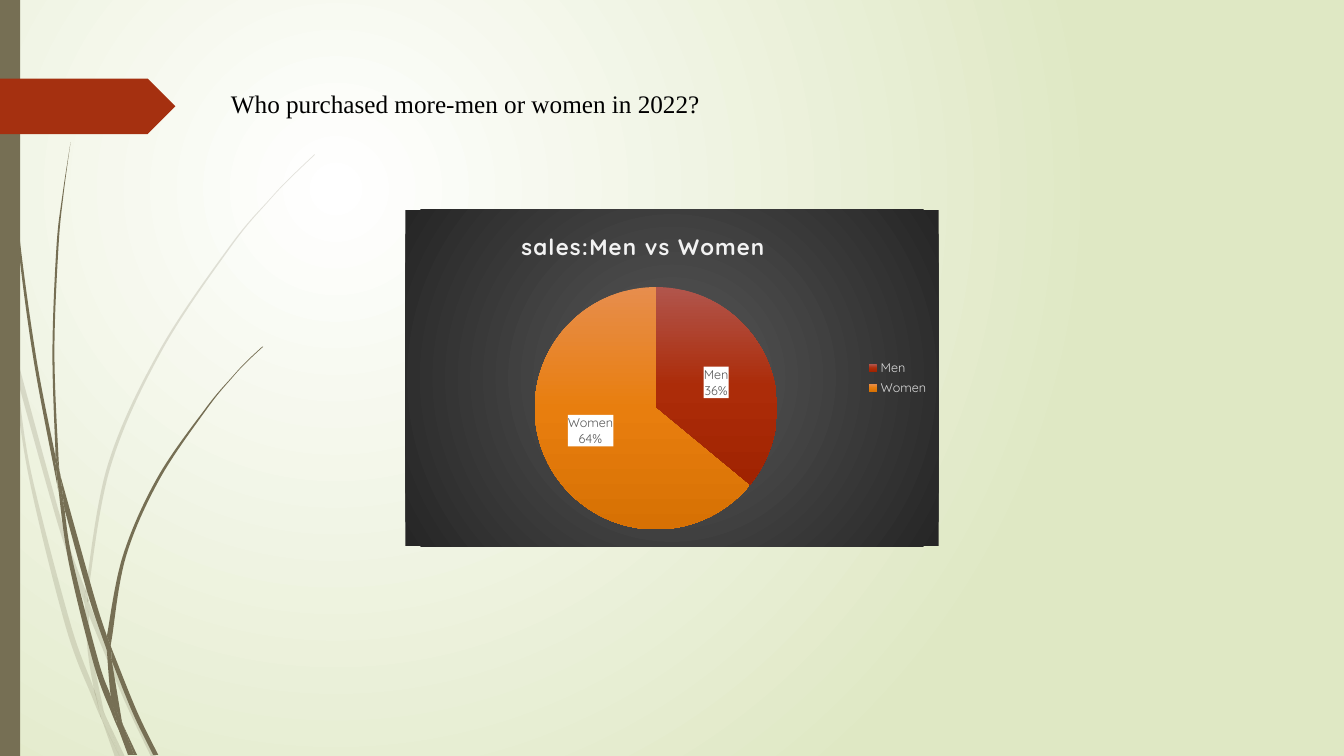
from copy import deepcopy
from dataclasses import dataclass

from pptx import Presentation
from pptx.chart.chart import Chart
from pptx.chart.data import CategoryChartData
from pptx.dml.color import RGBColor
from pptx.enum.chart import XL_CHART_TYPE, XL_LABEL_POSITION, XL_LEGEND_POSITION
from pptx.enum.shapes import MSO_SHAPE
from pptx.enum.text import MSO_ANCHOR, MSO_AUTO_SIZE, PP_ALIGN
from pptx.oxml import parse_xml
from pptx.oxml.ns import nsdecls, qn
from pptx.slide import Slide
from pptx.util import Inches, Pt

Point = tuple[float, float]
Edge = tuple[Point, ...]
Stops = tuple[tuple[int, str], ...]
NS = nsdecls("c", "a")


@dataclass(frozen=True)
class Theme:
    stem: str = "766F54"
    tag: str = "A53010"
    ink: str = "000000"
    head: str = "F2F2F2"
    key: str = "D9D9D9"
    label: str = "595959"
    paper: str = "FFFFFF"
    page: Stops = ((0, "FFFFFF"), (100, "DFE8C4"))
    panel: Stops = ((0, "595959"), (100, "262626"))
    title_font: str = "Times New Roman"
    chart_font: str = "Quicksand"
    title_size: int = 18
    head_size: int = 16
    base_size: int = 10
    small_size: int = 9


@dataclass(frozen=True)
class Leaf:
    near: Edge
    far: Edge


@dataclass(frozen=True)
class Slice:
    name: str
    value: int
    shift: Point
    stops: Stops


THEME = Theme()
PALE = (
    Leaf(((0.11, 3.5), (0.09, 3.22), (0, 2.82)), ((0, 2.99), (0.1, 3.44))),
    Leaf(((0.14, 3.45), (0.62, 5.2), (0.85, 5.86)), ((0.84, 5.99), (0.58, 5.22), (0.17, 3.76))),
    Leaf(((0.88, 5.96), (0.92, 6.07), (1.27, 6.92), (1.55, 7.51)), ((1.5, 7.51), (1.23, 6.94), (0.88, 6.1))),
    Leaf(((1.05, 7.11), (1.24, 7.51)), ((1.19, 7.51),)),
    Leaf(((0.11, 3.5), (0.17, 3.76), (0.31, 4.69), (0.7, 6.19), (0.93, 6.83), (0.99, 7.07)),
         ((1.01, 7.14), (0.92, 6.93), (0.65, 6.21), (0.28, 4.7), (0.11, 3.5))),
    Leaf(((0.84, 5.99), (0.87, 6.46), (0.93, 6.83), (0.96, 6.92), (1.05, 7.11)),
         ((1.03, 7.06), (0.91, 6.46), (0.88, 6.1), (0.88, 6.08))),
    Leaf(((0.88, 5.96), (0.88, 5.84), (1.1, 4.62), (1.6, 3.49), (2.29, 2.45), (2.68, 1.98), (2.9, 1.75), (3.12, 1.54)),
         ((3.12, 1.53), (2.89, 1.75), (2.68, 1.97), (2.28, 2.44), (1.58, 3.48), (1.07, 4.61), (0.85, 5.84),
          (0.85, 5.86))),
    Leaf(((1.01, 7.14), (1.14, 7.51)), ((1.19, 7.51),)),
    Leaf(((0.88, 6.08), (0.88, 6.1), (0.88, 5.96)), ((0.85, 5.86), (0.84, 5.99))),
    Leaf(((0.93, 6.83), (0.99, 7.07), (1.01, 7.14), (1.19, 7.51)), ((1.05, 7.11), (0.96, 6.92))),
)
DARK = (
    Leaf(((0.03, 0), (0.04, 0.48), (0.07, 1.1), (0.17, 2.33), (0.33, 3.55), (0.56, 4.77), (0.57, 4.81)),
         ((0.55, 4.57), (0.55, 4.53), (0.36, 3.55), (0.19, 2.32), (0.08, 1.09), (0.05, 0.48), (0.04, 0))),
    Leaf(((0.64, 5.05), (0.88, 5.92), (1.06, 6.45)), ((1.06, 6.33), (1.06, 6.31), (0.93, 5.9), (0.6, 4.72))),
    Leaf(((1.1, 6.41), (1.13, 6.49), (1.36, 7.06), (1.57, 7.49)), ((1.52, 7.49), (1.32, 7.08), (1.11, 6.56))),
    Leaf(((0.57, 4.77), (0.68, 5.57), (0.93, 6.59), (1.11, 7.08), (1.17, 7.22)),
         ((1.16, 7.17), (1.1, 6.91), (0.98, 6.57), (0.72, 5.56), (0.64, 5.05))),
    Leaf(((0.6, 4.72), (0.58, 4.53), (0.54, 3.49), (0.58, 2.45), (0.63, 1.93), (0.7, 1.41)),
         ((0.7, 1.41), (0.62, 1.93), (0.56, 2.45), (0.52, 3.49), (0.55, 4.49))),
    Leaf(((1.22, 7.19), (1.36, 7.49)), ((1.33, 7.49),)),
    Leaf(((0.55, 4.49), (0.55, 4.53), (0.57, 4.77), (0.64, 5.05)), ((0.6, 4.72),)),
    Leaf(((1.1, 6.41), (1.11, 6.33), (1.25, 5.52), (1.58, 4.76), (2.05, 4.06), (2.31, 3.74), (2.45, 3.59),
          (2.61, 3.44)),
         ((2.6, 3.44), (2.45, 3.58), (2.31, 3.73), (2.04, 4.05), (1.56, 4.74), (1.22, 5.51), (1.06, 6.31))),
    Leaf(((1.17, 7.22), (1.27, 7.49)), ((1.31, 7.49),)),
    Leaf(((1.06, 6.45), (1.1, 6.91), (1.16, 7.06), (1.22, 7.19)), ((1.21, 7.16), (1.11, 6.56))),
    Leaf(((1.06, 6.31), (1.06, 6.45), (1.11, 6.56)), ((1.1, 6.41),)),
    Leaf(((1.1, 6.91), (1.16, 7.17), (1.17, 7.22), (1.3, 7.49)), ((1.33, 7.49), (1.22, 7.19), (1.16, 7.06))),
)
SLICES = (
    Slice("Men", 36, (0.01, 0), ((0, "B1554C"), (50, "AC2C09"), (100, "A02301"))),
    Slice("Women", 64, (-0.02, -0.01), ((0, "E78D4D"), (50, "E87E0E"), (100, "D77104"))),
)


def bend(edge: Edge) -> list[Edge]:
    knots = (edge[0], *edge, edge[-1])
    return [(tuple(q + (r - p) / 6 for p, q, r in zip(a, b, c)),
             tuple(r - (s - q) / 6 for q, r, s in zip(b, c, d)), c)
            for a, b, c, d in zip(knots, knots[1:], knots[2:], knots[3:])]


def fade(stops: Stops, way: str) -> str:
    marks = "".join(f'<a:gs pos="{at * 1000}"><a:srgbClr val="{hue}"/></a:gs>' for at, hue in stops)
    return f'<a:gradFill {nsdecls("a")} rotWithShape="1"><a:gsLst>{marks}</a:gsLst>{way}</a:gradFill>'


def glow(edge: int) -> str:
    return f'<a:path path="circle"><a:fillToRect l="50000" t="50000" r="{edge}000" b="{edge}000"/></a:path>'


def paint(host, hue: str) -> None:
    host.fill.solid()
    host.fill.fore_color.rgb = RGBColor.from_string(hue)


def swap(host, stops: Stops, way: str) -> None:
    solid = host.find(".//" + qn("a:solidFill"))
    solid.getparent().replace(solid, parse_xml(fade(stops, way)))


def finish(shape, hue: str) -> None:
    shape.shadow.inherit = False
    paint(shape, hue)
    shape.line.fill.background()


def draw_leaf(shapes, leaf: Leaf, alpha: int) -> None:
    ring = [(Inches(x), Inches(y)) for x, y in leaf.near + leaf.far]
    pen = shapes.build_freeform(*ring[0])
    pen.add_line_segments(ring[1:], close=True)
    shape = pen.convert_to_shape()
    finish(shape, THEME.stem)
    root = shape._element.spPr
    left, top = min(x for x, _ in ring), min(y for _, y in ring)
    for line, trio in zip(root.findall(".//" + qn("a:lnTo")), [*bend(leaf.near), None, *bend(leaf.far)]):
        if trio:
            spots = "".join(f'<a:pt x="{Inches(x) - left}" y="{Inches(y) - top}"/>' for x, y in trio)
            curve = parse_xml(f'<a:cubicBezTo {nsdecls("a")}>{spots}</a:cubicBezTo>')
            line.getparent().replace(line, curve)
    if alpha < 100:
        root.find(".//" + qn("a:srgbClr")).append(parse_xml(f'<a:alpha {nsdecls("a")} val="{alpha}000"/>'))


def draw_block(slide: Slide, kind: MSO_SHAPE, top: float, wide: float, high: float, hue: str) -> None:
    finish(slide.shapes.add_shape(kind, 0, Inches(top), Inches(wide), Inches(high)), hue)


def set_font(font, size: int, hue: str, name: str = THEME.chart_font) -> None:
    font.size, font.name = Pt(size), name
    font.color.rgb = RGBColor.from_string(hue)


def set_title(slide: Slide) -> None:
    title = slide.shapes.title
    title.left, title.top, title.width, title.height = map(Inches, (2.19, 0.83, 4.9, 1.01))
    frame = title.text_frame
    frame.text = "Who purchased more-men or women in 2022?"
    frame.word_wrap, frame.auto_size = True, MSO_AUTO_SIZE.NONE
    frame.vertical_anchor, frame.margin_right = MSO_ANCHOR.TOP, 0
    frame.paragraphs[0].alignment = PP_ALIGN.LEFT
    set_font(frame.paragraphs[0].runs[0].font, THEME.title_size, THEME.ink, THEME.title_font)


def set_place(host, spot: int, head: str, **sizes: float) -> None:
    for old in host.findall(qn("c:layout")):
        host.remove(old)
    spans = "".join(f'<c:{k} val="{v}"/>' for k, v in sizes.items())
    host.insert(spot, parse_xml(f"<c:layout {NS}><c:manualLayout>{head}{spans}</c:manualLayout></c:layout>"))


def set_labels(chart: Chart) -> None:
    labels = chart.plots[0].series[0].data_labels
    set_font(labels.font, THEME.small_size, THEME.label)
    labels.number_format, labels.number_format_is_linked = "0%", False
    labels.show_value, labels.show_category_name, labels.show_percentage = False, True, True
    labels.position = XL_LABEL_POSITION.CENTER
    root = labels._element
    root.find(qn("c:txPr")).addprevious(parse_xml(
        f'<c:spPr {NS}><a:solidFill><a:srgbClr val="{THEME.paper}"/></a:solidFill></c:spPr>'))
    root.find(qn("c:showBubbleSize")).addnext(parse_xml(f"<c:separator {NS}>\n</c:separator>"))
    parts = [part for part in root if part.tag != qn("c:showLeaderLines")]
    for i, part in enumerate(SLICES):
        label = parse_xml(f'<c:dLbl {NS}><c:idx val="{i}"/></c:dLbl>')
        set_place(label, 1, "", x=part.shift[0], y=part.shift[1])
        label.extend(deepcopy(parts))
        root.insert(i, label)


def draw_chart(slide: Slide) -> None:
    data = CategoryChartData()
    data.categories = [part.name for part in SLICES]
    data.add_series("Series 1", [part.value for part in SLICES])
    chart = slide.shapes.add_chart(XL_CHART_TYPE.PIE, *map(Inches, (4.02, 2.08, 5.29, 3.34)), data).chart
    set_font(chart.font, THEME.base_size, THEME.ink)
    chart.chart_title.text_frame.text = "sales:Men vs Women"
    run = chart.chart_title.text_frame.paragraphs[0].runs[0]
    set_font(run.font, THEME.head_size, THEME.head)
    run.font.bold = True
    run._r.get_or_add_rPr().set("spc", "100")
    modes = '<c:xMode val="edge"/><c:yMode val="edge"/>'
    set_place(chart.chart_title._element, 1, modes, x=0.21, y=0.05)
    chart.has_legend = True
    chart.legend.position, chart.legend.include_in_layout = XL_LEGEND_POSITION.RIGHT, False
    set_font(chart.legend.font, THEME.small_size, THEME.key)
    plot = chart.plots[0]
    plot.vary_by_categories = True
    for i, part in enumerate(SLICES):
        paint(plot.series[0].points[i].format, part.stops[0][1])
        swap(plot.series[0]._element.findall(qn("c:dPt"))[i], part.stops, '<a:lin ang="5400000" scaled="0"/>')
    set_labels(chart)
    root = chart._chartSpace.find(qn("c:chart"))
    inner = f'<c:layoutTarget val="inner"/>{modes}'
    set_place(root.find(qn("c:plotArea")), 0, inner, x=0.13, y=0.23, w=0.68, h=0.72)
    root.addnext(parse_xml(f"<c:spPr {NS}>{fade(THEME.panel, glow(50))}<a:ln><a:noFill/></a:ln></c:spPr>"))


def main() -> None:
    deck = Presentation()
    deck.slide_width, deck.slide_height = Inches(13.33), Inches(7.5)
    slide = deck.slides.add_slide(deck.slide_layouts[5])
    paint(slide.background, THEME.paper)
    swap(slide._element.find(".//" + qn("p:bg")), THEME.page, glow(100))
    for leaves, alpha in ((PALE, 20), (DARK, 100)):
        group = slide.shapes.add_group_shape()
        for leaf in leaves:
            draw_leaf(group.shapes, leaf, alpha)
    draw_block(slide, MSO_SHAPE.RECTANGLE, 0, 0.2, 7.5, THEME.stem)
    draw_block(slide, MSO_SHAPE.PENTAGON, 0.78, 1.74, 0.55, THEME.tag)
    set_title(slide)
    draw_chart(slide)
    deck.save("out.pptx")


if __name__ == "__main__":
    main()
